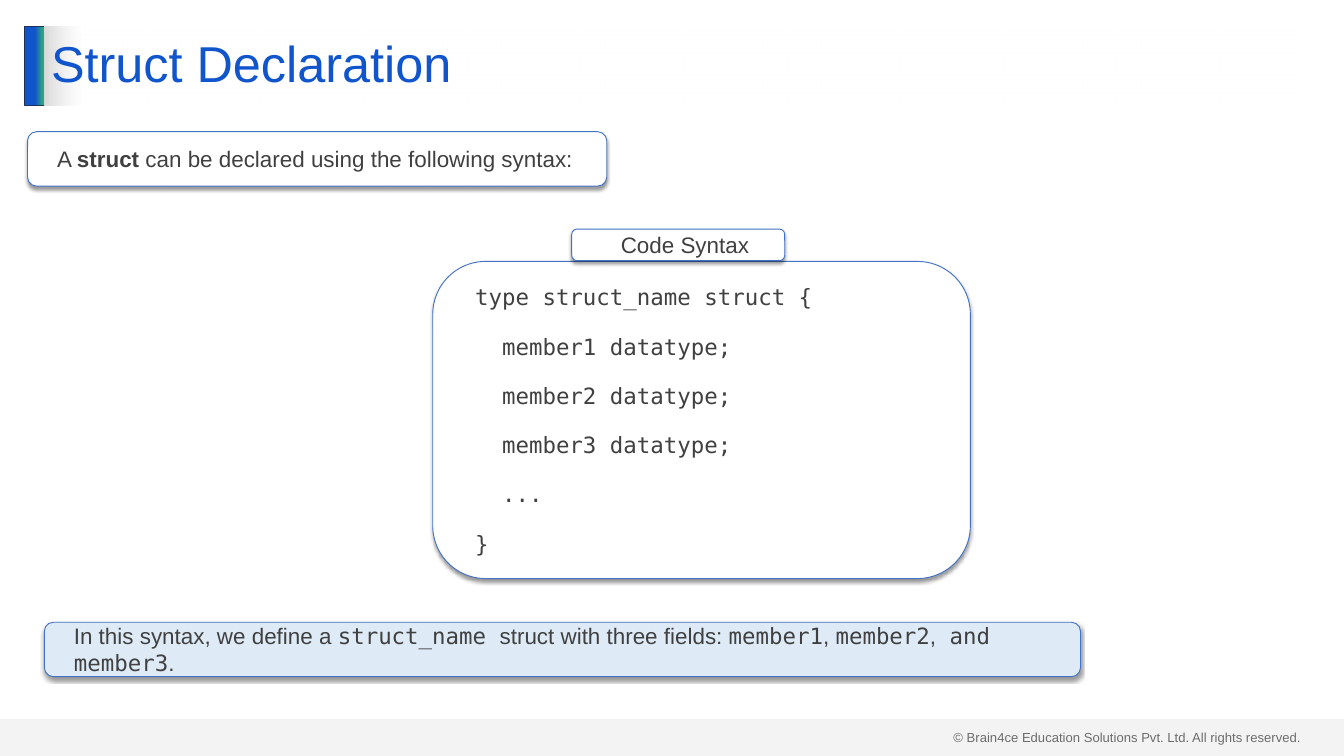
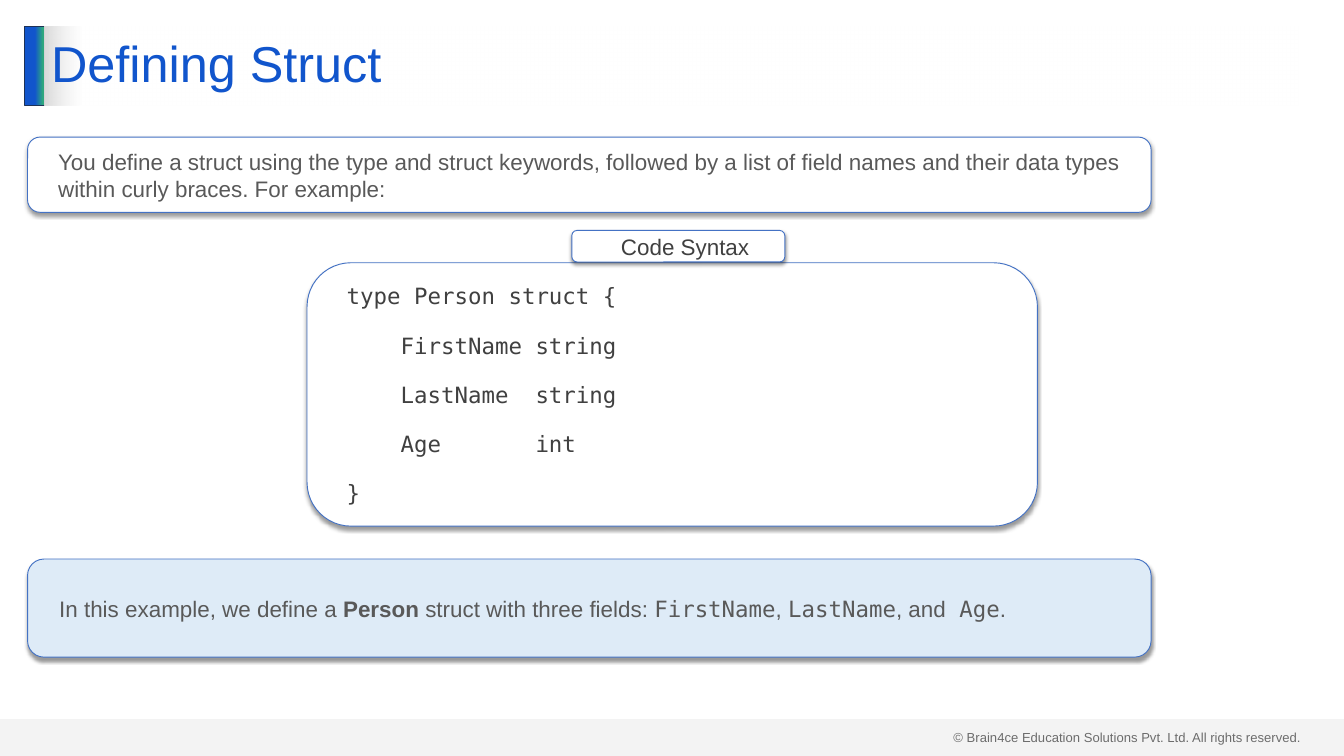
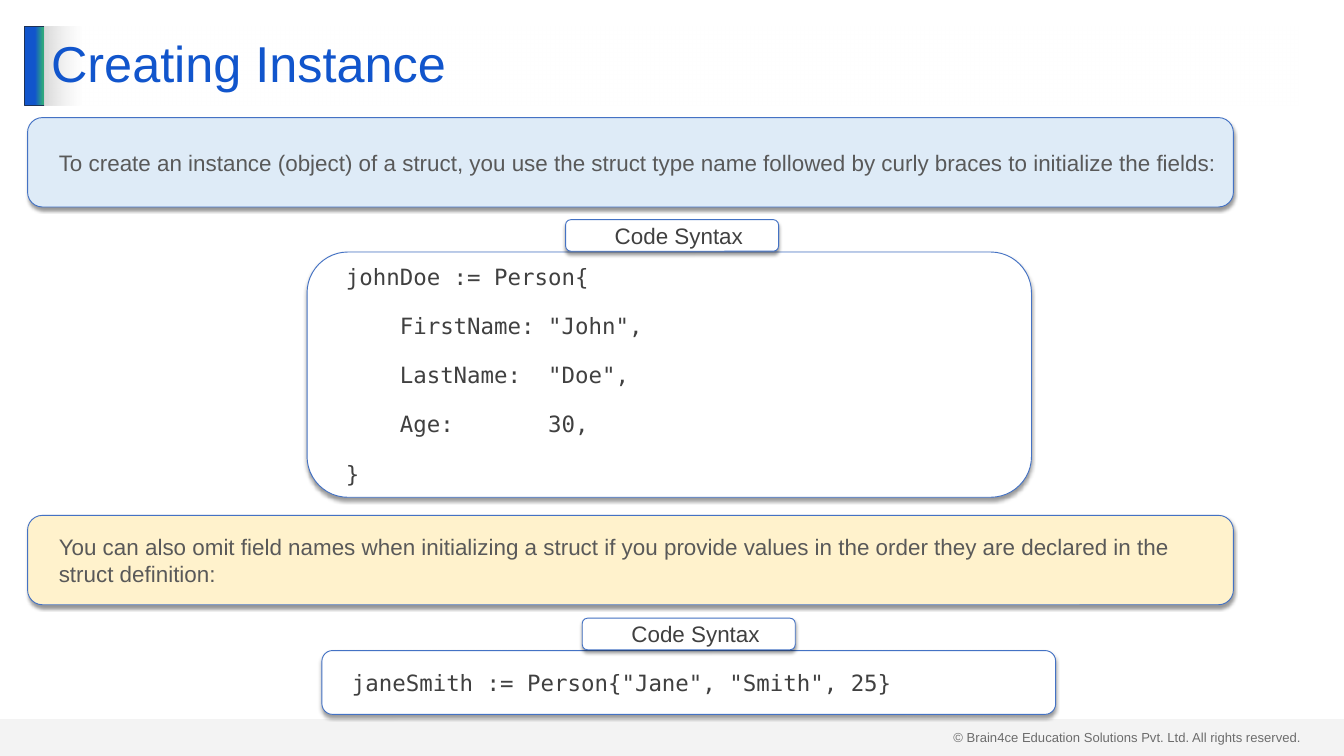
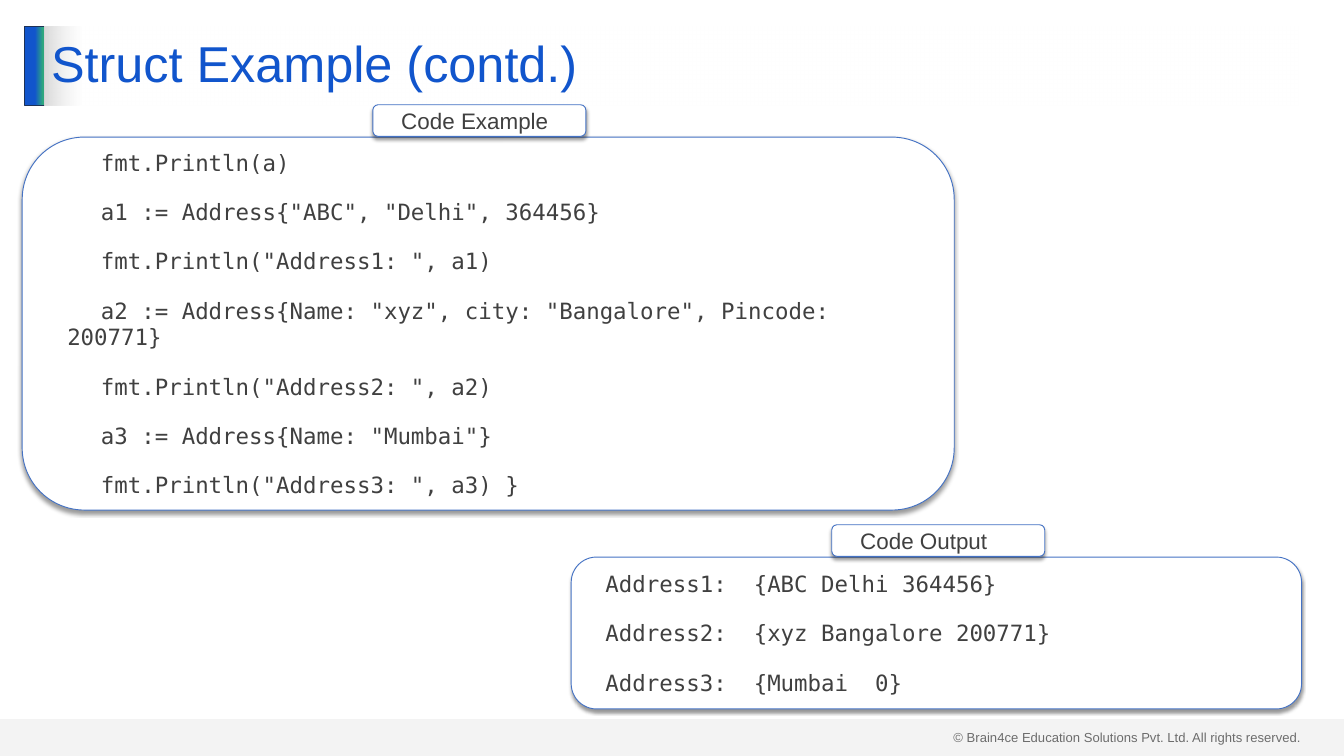
from lxml import etree
from pptx import Presentation
from pptx.dml.color import RGBColor
from pptx.enum.shapes import MSO_SHAPE
from pptx.enum.text import MSO_ANCHOR, MSO_AUTO_SIZE, PP_ALIGN
from pptx.oxml.ns import qn
from pptx.util import Pt

RECTANGLE, ROUNDED = MSO_SHAPE.RECTANGLE, MSO_SHAPE.ROUNDED_RECTANGLE
MIDDLE = MSO_ANCHOR.MIDDLE
GROW = MSO_AUTO_SIZE.SHAPE_TO_FIT_TEXT
LEFT, CENTER = PP_ALIGN.LEFT, PP_ALIGN.CENTER

SLIDE_WIDTH, SLIDE_HEIGHT = 1440, 810
SANS, MONO = "Arial", "DejaVu Sans Mono"
BLUE, GREEN, NAVY, OUTLINE = "1155CC", "2EA87D", "1E3256", "4472C4"
WHITE, SILVER, PALE_BLUE, PALE_YELLOW = "FFFFFF", "D9D9D9", "DEEBF7", "FFF2CC"
DARK, GRAY = "404040", "595959"
COPYRIGHT = "© Brain4ce Education Solutions Pvt. Ltd. All rights reserved."
TAG_WIDTH, TAG_HEIGHT = 228.24, 33.84
TITLE_LAYOUT = 5
STYLES = {
    "plain": {"name": SANS, "bold": False},
    "bold": {"name": SANS, "bold": True},
    "code": {"name": MONO, "bold": False},
}


def color(value):
    """Turn a hex string into a colour."""
    return RGBColor.from_string(value)


def points(box):
    """Turn a box of numbers into lengths."""
    return [Pt(value) for value in box]


def assign(target, values):
    """Set attributes from a dict of format values."""
    for name, value in values.items():
        setattr(target, name, value)


def set_alpha(parent, percent):
    """Make the last colour below an element translucent."""
    node = list(parent.iter(qn("a:srgbClr")))[-1]
    etree.SubElement(node, qn("a:alpha"), val=str(percent * 1000))


def fill_gradient(shape, stops):
    """Fill a shape from left to right between two stops."""
    shape.fill.gradient()
    shape.fill.gradient_angle = 0
    for stop, (position, value) in zip(shape.fill.gradient_stops, stops):
        stop.position = position
        stop.color.rgb = color(value)


def add_box(slide, kind, box, fill=None, line=None):
    """Add a preset shape with a flat fill and an optional outline."""
    shape = slide.shapes.add_shape(kind, *points(box))
    shape.shadow.inherit = False
    if fill:
        shape.fill.solid()
        shape.fill.fore_color.rgb = color(fill)
    if line:
        shape.line.color.rgb = color(line)
        shape.line.width = Pt(1)
    else:
        shape.line.fill.background()
    return shape


def add_run(paragraph, text, size, value, style="plain"):
    """Add a formatted run to a paragraph."""
    run = paragraph.add_run()
    run.text = text
    assign(run.font, {"size": Pt(size), **STYLES[style]})
    run.font.color.rgb = color(value)


def add_card(slide, box, paragraphs, fill=WHITE, ink=DARK, align=LEFT):
    """Add a shadowed rounded card; each paragraph is a list of (text, style)."""
    card = add_box(slide, ROUNDED, box, fill, OUTLINE)
    effects = card.element.spPr.find(qn("a:effectLst"))
    shadow = etree.SubElement(
        effects, qn("a:outerShdw"), blurRad=str(Pt(4)), dist=str(Pt(3)),
        dir="5400000", algn="t", rotWithShape="0")
    etree.SubElement(shadow, qn("a:srgbClr"), val="000000")
    set_alpha(shadow, 40)
    frame = card.text_frame
    assign(frame, {
        "word_wrap": True, "vertical_anchor": MIDDLE,
        "margin_left": Pt(14.4), "margin_right": Pt(14.4),
        "margin_top": Pt(7.2), "margin_bottom": Pt(7.2),
    })
    for index, runs in enumerate(paragraphs):
        paragraph = frame.add_paragraph() if index else frame.paragraphs[0]
        assign(paragraph, {
            "alignment": align, "level": 1, "space_after": Pt(12),
            "space_before": Pt(12 if index else 0),
        })
        properties = paragraph._p.get_or_add_pPr()
        properties.set("marL", str(Pt(14.4)))
        properties.set("indent", "0")
        for text, style in runs:
            add_run(paragraph, text, 24, ink, style)


def add_note(slide, box, *runs, fill=WHITE, ink=GRAY):
    """Add a card with one paragraph of explanation."""
    add_card(slide, box, [runs], fill, ink)


def add_code_panel(slide, box, label, code, shift=0, align=CENTER):
    """Add a code card with a label on its top edge, shifted from its centre."""
    left, top, width, _ = box
    add_card(slide, box, [[(line, "code")] for line in code.split("\n")])
    tag_left = left + (width - TAG_WIDTH) / 2 + shift
    tag = (tag_left, top - TAG_HEIGHT - 0.8, TAG_WIDTH, TAG_HEIGHT)
    add_card(slide, tag, [[(label, "plain")]], align=align)


def decorate_layout(layout, slide):
    """Build the copyright line, title bar and footer band and share them in the layout."""
    copyright_line = slide.shapes.add_textbox(*points((1014.5, 777.6, 389.5, 24.5)))
    frame = copyright_line.text_frame
    assign(frame, {"word_wrap": True, "auto_size": GROW})
    add_run(frame.paragraphs[0], COPYRIGHT, 14, DARK)
    title_bar = add_box(slide, RECTANGLE, (26.6, 28, 21.6, 85), line=NAVY)
    fill_gradient(title_bar, [(0.51, BLUE), (0.9, GREEN)])
    band = add_box(slide, RECTANGLE, (0, 770.4, SLIDE_WIDTH, 39.6), SILVER)
    set_alpha(band.element.spPr, 29)
    for number, shape in enumerate((copyright_line, title_bar, band), 20):
        shape.element.nvSpPr.cNvPr.id = number
        layout.shapes.element.insert_element_before(shape.element, "p:extLst")


def add_title(slide, text):
    """Move, fill and format the title placeholder."""
    title = slide.shapes.title
    assign(title, dict(zip(("left", "top", "width", "height"),
                           points((47.5, 28, 1344.2, 85)))))
    fill_gradient(title, [(0, SILVER), (0.03, WHITE)])
    set_alpha(title.element.spPr, 50)
    frame = title.text_frame
    assign(frame, {"word_wrap": True, "vertical_anchor": MIDDLE,
                   "auto_size": MSO_AUTO_SIZE.NONE})
    paragraph = frame.paragraphs[0]
    assign(paragraph, {"alignment": LEFT, "line_spacing": 0.9})
    add_run(paragraph, text, 54, BLUE)


def build_declaration(slide):
    """Show the syntax of a struct declaration."""
    code = """type struct_name struct {
  member1 datatype;
  member2 datatype;
  member3 datatype;
  ...
}"""
    add_code_panel(slide, (463.7, 280.1, 576, 339.8), "Code Syntax", code, shift=-25)
    add_note(slide, (29.5, 141.1, 620.6, 58.3), ("A ", "plain"), ("struct", "bold"),
             (" can be declared using the following syntax:", "plain"), ink=DARK)
    add_note(slide, (47.5, 666.7, 1110.2, 58.3),
             ("In this syntax, we define a ", "plain"), ("struct_name ", "code"),
             ("struct with three fields: ", "plain"), ("member1", "code"),
             (", ", "plain"), ("member2", "code"), (",", "plain"),
             (" and member3", "code"), (".", "plain"), fill=PALE_BLUE, ink=DARK)


def build_definition(slide):
    """Show how the Person struct is defined."""
    code = """type Person struct {
    FirstName string
    LastName  string
    Age       int
}"""
    add_note(slide, (29.5, 146.9, 1203.8, 80.6),
             ("You define a struct using the type and struct keywords, followed by a list of "
              "field names and their data types within curly braces. For example:", "plain"))
    add_code_panel(slide, (329, 281.5, 782.6, 282.2), "Code Syntax", code, shift=6.5)
    add_note(slide, (29.5, 599, 1203.8, 105.1),
             ("In this example, we define a ", "plain"), ("Person", "bold"),
             (" struct with three fields: ", "plain"), ("FirstName", "code"),
             (", ", "plain"), ("LastName", "code"), (", and", "plain"),
             (" Age", "code"), (".", "plain"), fill=PALE_BLUE)


def build_instance(slide):
    """Show two ways to create an instance."""
    code = """johnDoe := Person{
    FirstName: "John",
    LastName:  "Doe",
    Age:       30,
}"""
    add_note(slide, (29.5, 126, 1292, 95.8),
             ("To create an instance (object) of a struct, you use the struct type name "
              "followed by curly braces to initialize the fields:", "plain"), fill=PALE_BLUE)
    add_code_panel(slide, (329, 270, 776.2, 262.8), "Code Syntax", code, shift=3)
    add_note(slide, (29.5, 552.2, 1292, 95.8),
             ("You can also omit field names when initializing a struct if you provide values "
              "in the order they are declared in the struct definition:", "plain"),
             fill=PALE_YELLOW)
    add_code_panel(slide, (344.9, 697, 786.2, 68.4), "Code Syntax",
                   'janeSmith := Person{"Jane", "Smith", 25}')


def build_example(slide):
    """Show the example program and its output."""
    code = """\tfmt.Println(a)
\ta1 := Address{"ABC", "Delhi", 364456}
\tfmt.Println("Address1: ", a1)
\ta2 := Address{Name: "xyz", city: "Bangalore", Pincode: 200771}
\tfmt.Println("Address2: ", a2)
\ta3 := Address{Name: "Mumbai"}
\tfmt.Println("Address3: ", a3) }"""
    output = """Address1:  {ABC Delhi 364456}
Address2:  {xyz Bangalore 200771}
Address3:  {Mumbai  0}"""
    add_code_panel(slide, (23.8, 146.9, 998.6, 399.6), "Code Example", code,
                   shift=-9.5, align=LEFT)
    add_code_panel(slide, (612, 596.9, 782.6, 162.7), "Code Output", output,
                   shift=2, align=LEFT)


def main():
    """Build the four slides and save them."""
    presentation = Presentation()
    presentation.slide_width, presentation.slide_height = Pt(SLIDE_WIDTH), Pt(SLIDE_HEIGHT)
    layout = presentation.slide_layouts[TITLE_LAYOUT]
    builders = {
        "Struct Declaration": build_declaration,
        "Defining Struct": build_definition,
        "Creating Instance": build_instance,
        "Struct Example (contd.)": build_example,
    }
    for index, (title, build) in enumerate(builders.items()):
        slide = presentation.slides.add_slide(layout)
        if index == 0:
            decorate_layout(layout, slide)
        add_title(slide, title)
        build(slide)
    presentation.save("out.pptx")


if __name__ == "__main__":
    main()
